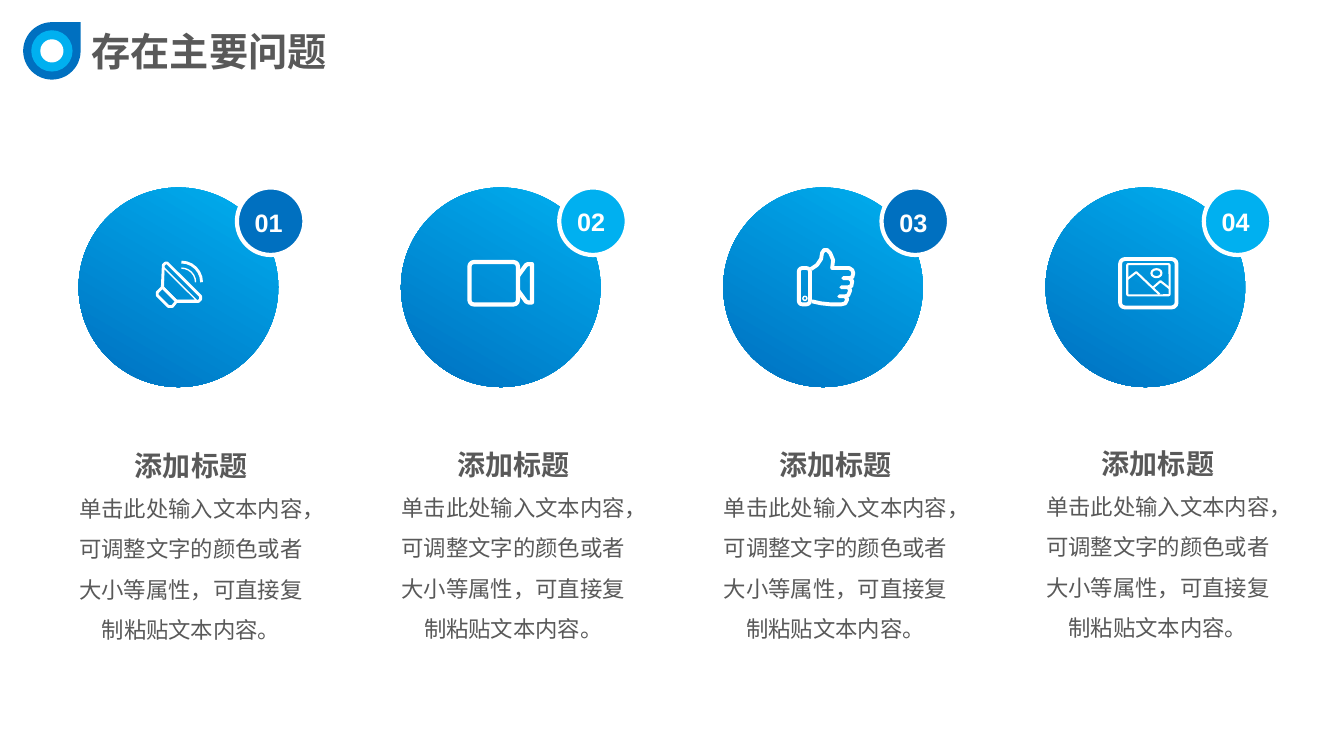
from pptx import Presentation
from pptx.dml.color import RGBColor
from pptx.enum.shapes import MSO_SHAPE as SH
from pptx.enum.text import MSO_ANCHOR, MSO_AUTO_SIZE, PP_ALIGN
from pptx.util import Inches, Pt

rgb = RGBColor.from_string
BLUE, SKY, WHITE, GREY = "0070C0", "00B0F0", "FFFFFF", "595959"

prs = Presentation()
prs.slide_width, prs.slide_height = Inches(13.33), Inches(7.5)
s = prs.slides.add_slide(prs.slide_layouts[6])


def add_shape(kind, box, fill=None, line=None, width=1):
    if isinstance(box, list):
        (x, y), points, closed = box
        fb = s.shapes.build_freeform(*points[0], scale=Inches(0.01))
        fb.add_line_segments(points[1:], close=closed)
        sp = fb.convert_to_shape(Inches(x), Inches(y))
    else:
        sp = s.shapes.add_shape(kind, *map(Inches, box))
    sp.shadow.inherit = False
    if fill:
        sp.fill.solid()
        sp.fill.fore_color.rgb = rgb(fill)
    else:
        sp.fill.background()
    if line:
        sp.line.color.rgb = rgb(line)
        sp.line.width = Pt(width)
    else:
        sp.line.fill.background()
    return sp


def add_text(box, paras, color, frame, para):
    tf = s.shapes.add_textbox(*map(Inches, box)).text_frame
    for name, value in frame.items():
        setattr(tf, name, value)
    for i, (text, size, bold) in enumerate(paras):
        p = tf.add_paragraph() if i else tf.paragraphs[0]
        for name, value in para.items():
            setattr(p, name, value)
        r = p.add_run()
        r.text = text
        for name, value in dict(name="Arial", size=Pt(size), bold=bold).items():
            setattr(r.font, name, value)
        r.font.color.rgb = rgb(color)


add_text((0.81, 0.22, 2.55, 0.57), [("存在主要问题", 28, True)], GREY,
         dict(word_wrap=False, auto_size=MSO_AUTO_SIZE.SHAPE_TO_FIT_TEXT), {})
for kind, size, fill in [(SH.TEAR, 0.57, BLUE), (SH.OVAL, 0.41, SKY), (SH.OVAL, 0.23, WHITE)]:
    inset = (0.57 - size) / 2
    add_shape(kind, (0.23 + inset, 0.22 + inset, size, size), fill)

horn = [(83, 99), (84, 77), (86, 75), (88, 75), (121, 108), (121, 111), (119, 113), (97, 113)]
membrane = [(84, 79), (117, 112), (97, 112), (84, 99)]
handle = [(83, 99), (78, 104), (78, 107), (89, 118), (93, 118), (97, 113)]
lens = [(116, 88), (124, 77), (126, 76), (130, 76), (130, 114), (126, 114), (124, 113), (116, 102)]
hand = [(87, 81), (93, 77), (97, 71), (98, 65), (100, 62), (103, 62), (106, 65), (109, 72),
        (108, 80), (125, 80), (128, 82), (129, 85), (128, 89), (125, 90), (119, 90), (125, 90),
        (128, 93), (127, 98), (124, 99), (117, 99), (124, 99), (126, 102), (124, 107),
        (121, 108), (115, 108), (121, 108), (123, 111), (121, 115), (117, 116), (107, 116),
        (97, 115), (88, 113)]
peak = [(81, 91), (90, 84), (113, 106)]
hill = [(107, 99), (114, 93), (123, 100)]

icons = [
    [(None, horn, True, 2), (None, membrane, True, 1), (None, handle, False, 2),
     (SH.ARC, (82, 74, 40, 40), None, 2), (SH.ARC, (88, 80, 28, 28), None, 1)],
    [(SH.ROUNDED_RECTANGLE, (68, 74, 48, 42), 0.1, 3), (None, lens, False, 3)],
    [(SH.ROUNDED_RECTANGLE, (75, 80, 11, 36), 0.3, 2.75), (None, hand, False, 2.75),
     (SH.OVAL, (79, 108, 4, 4), None, 1)],
    [(SH.ROUNDED_RECTANGLE, (74, 71, 56, 48), 0.1, 2.75),
     (SH.ROUNDED_RECTANGLE, (81, 76, 42, 31), 0.04, 1.5), (None, peak, False, 1.5),
     (None, hill, False, 1.5), (SH.OVAL, (105, 81, 10, 8), None, 1.5)],
]

LEFT, TOP, SIZE = 0.78, 1.86, 1.98
PITCH = (10.37 - LEFT) / 3
body = "单击此处输入文本内容，可调整文字的颜色或者大小等属性，可直接复制粘贴文本内容。"
insets = dict(margin_left=0, margin_right=0, word_wrap=True)

for i, (icon, text_top) in enumerate(zip(icons, [4.28, 4.27, 4.27, 4.26])):
    x = LEFT + i * PITCH
    disc = add_shape(SH.OVAL, (x, TOP, SIZE, SIZE), SKY)
    disc.fill.gradient()
    disc.fill.gradient_angle = 240
    for stop, color in zip(disc.fill.gradient_stops, (SKY, BLUE)):
        stop.color.rgb = rgb(color)

    for kind, geometry, option, width in icon:
        if kind is None:
            add_shape(None, [(x, TOP), geometry, option], None, WHITE, width)
            continue
        l, t, w, h = (v / 100 for v in geometry)
        sp = add_shape(kind, (x + l, TOP + t, w, h), None, WHITE, width)
        if option:
            sp.adjustments[0] = option

    add_shape(SH.OVAL, (x + 1.57, TOP, 0.67, 0.67), (BLUE, SKY)[i % 2], WHITE, 3)
    add_text((x + 1.56, 1.96 - 0.01 * (i % 2), 0.65, 0.5), [(f"{i + 1:02}", 18, True)], WHITE,
             dict(insets, margin_top=Inches(0.09), margin_bottom=Inches(0.09),
                  vertical_anchor=MSO_ANCHOR.MIDDLE), dict(alignment=PP_ALIGN.CENTER))
    add_text((x - 0.03, text_top, 2.29, 2.07), [("添加标题", 20, True), (body, 16, False)], GREY,
             dict(insets, margin_top=0, margin_bottom=0,
                  auto_size=MSO_AUTO_SIZE.SHAPE_TO_FIT_TEXT),
             dict(alignment=PP_ALIGN.CENTER, line_spacing=1.5))

prs.save("out.pptx")
